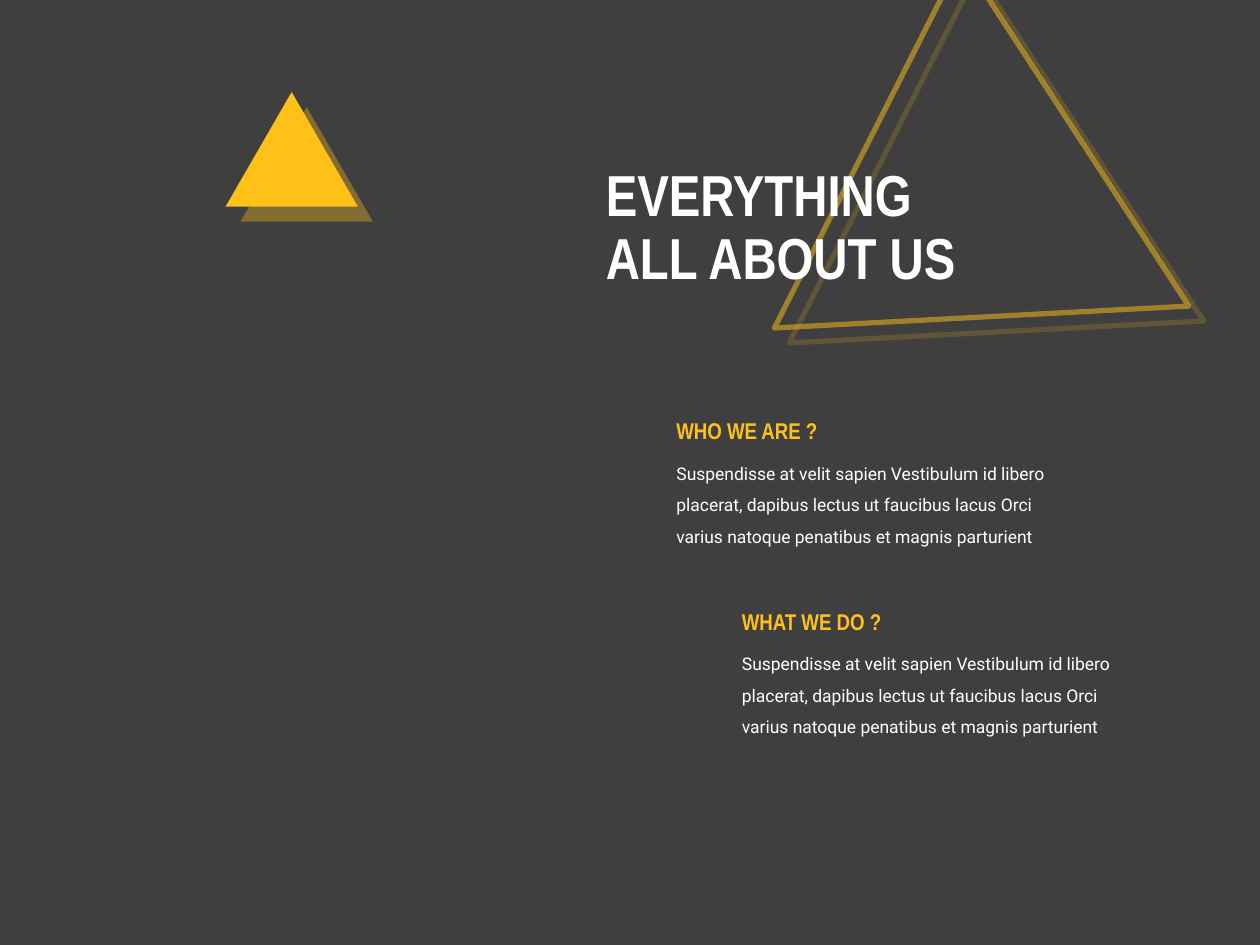
from dataclasses import dataclass
from typing import Optional

from lxml.etree import SubElement
from pptx import Presentation
from pptx.dml.color import RGBColor
from pptx.enum.shapes import MSO_SHAPE as Shape
from pptx.enum.text import MSO_ANCHOR as Anchor, MSO_AUTO_SIZE as AutoSize
from pptx.oxml.ns import qn
from pptx.util import Inches, Pt

DARK, GOLD, WHITE = "3F3F3F", "FFC118", "FFFFFF"
BODY = ("Suspendisse at velit sapien Vestibulum id libero placerat, dapibus "
        "lectus ut faucibus lacus Orci varius natoque penatibus et magnis parturient")


@dataclass
class Triangle:
    left: float
    top: float
    width: float
    height: float
    rotation: float = 0
    outlined: bool = False


@dataclass
class TextStyle:
    size: float
    font: str
    color: str
    bold: bool = False
    spacing: Optional[float] = None
    anchor: Anchor = Anchor.TOP
    autosize: AutoSize = AutoSize.SHAPE_TO_FIT_TEXT


@dataclass
class Section:
    heading: str
    left: float
    top: float


TITLE = TextStyle(33, "Arial Narrow", WHITE, True, 0.9, Anchor.MIDDLE, AutoSize.NONE)
HEADING = TextStyle(13, "Arial Narrow", GOLD, True)
PARAGRAPH = TextStyle(10, "Roboto", WHITE, spacing=1.5)

OUTLINE_TRIANGLE = Triangle(5.69, 0.4, 3.3, 2.85, 236.9, outlined=True)
SOLID_TRIANGLE = Triangle(1.79, 0.73, 1.05, 0.91)
SECTIONS = [Section("WHO WE ARE ?", 5.27, 3.26), Section("WHAT WE DO ?", 5.79, 4.77)]


def rgb(color: str) -> RGBColor:
    return RGBColor.from_string(color)


def add_alpha(color_element, percent: int) -> None:
    SubElement(color_element, qn("a:alpha"), val=str(percent * 1000))


def add_offset_shadow(sp) -> None:
    """Cast a hard, translucent gold shadow down and to the right."""
    sp.shadow.inherit = False
    effects = sp._element.spPr.find(qn("a:effectLst"))
    shadow = SubElement(effects, qn("a:outerShdw"), blurRad="0",
                        dist=str(Pt(12.1)), dir=str(45 * 60000),
                        algn="tl", rotWithShape="0")
    add_alpha(SubElement(shadow, qn("a:srgbClr"), val=GOLD), 35)


def add_triangle(s, t: Triangle) -> None:
    sp = s.shapes.add_shape(Shape.ISOSCELES_TRIANGLE, Inches(t.left), Inches(t.top),
                            Inches(t.width), Inches(t.height))
    sp.rotation = t.rotation
    if t.outlined:
        sp.fill.background()
        sp.line.color.rgb = rgb(GOLD)
        sp.line.width = Pt(3)
        add_alpha(sp._element.spPr.find(".//" + qn("a:srgbClr")), 50)
    else:
        sp.fill.solid()
        sp.fill.fore_color.rgb = rgb(GOLD)
        sp.line.fill.background()
    add_offset_shadow(sp)


def add_text(s, text: str, left: float, top: float, width: float, height: float,
             style: TextStyle) -> None:
    sp = s.shapes.add_textbox(Inches(left), Inches(top), Inches(width), Inches(height))
    tf = sp.text_frame
    tf.word_wrap = True
    tf.auto_size = style.autosize
    tf.vertical_anchor = style.anchor
    p = tf.paragraphs[0]
    p.text = text
    if style.spacing:
        p.line_spacing = style.spacing
    for r in p.runs:
        r.font.size = Pt(style.size)
        r.font.name = style.font
        r.font.bold = style.bold
        r.font.color.rgb = rgb(style.color)


def add_section(s, section: Section) -> None:
    add_text(s, BODY, section.left, section.top + 0.28, 3.38, 0.85, PARAGRAPH)
    add_text(s, section.heading, section.left, section.top, 1.84, 0.32, HEADING)


def main() -> None:
    prs = Presentation()
    prs.slide_width, prs.slide_height = Inches(10), Inches(7.5)
    s = prs.slides.add_slide(prs.slide_layouts[6])
    s.background.fill.solid()
    s.background.fill.fore_color.rgb = rgb(DARK)

    # Title over the large outlined triangle
    add_triangle(s, OUTLINE_TRIANGLE)
    add_text(s, "EVERYTHING\vALL ABOUT US", 4.71, 1.03, 4.22, 1.58, TITLE)

    # Small solid triangle
    add_triangle(s, SOLID_TRIANGLE)

    # Question and answer sections
    for section in SECTIONS:
        add_section(s, section)

    prs.save("out.pptx")


if __name__ == "__main__":
    main()
